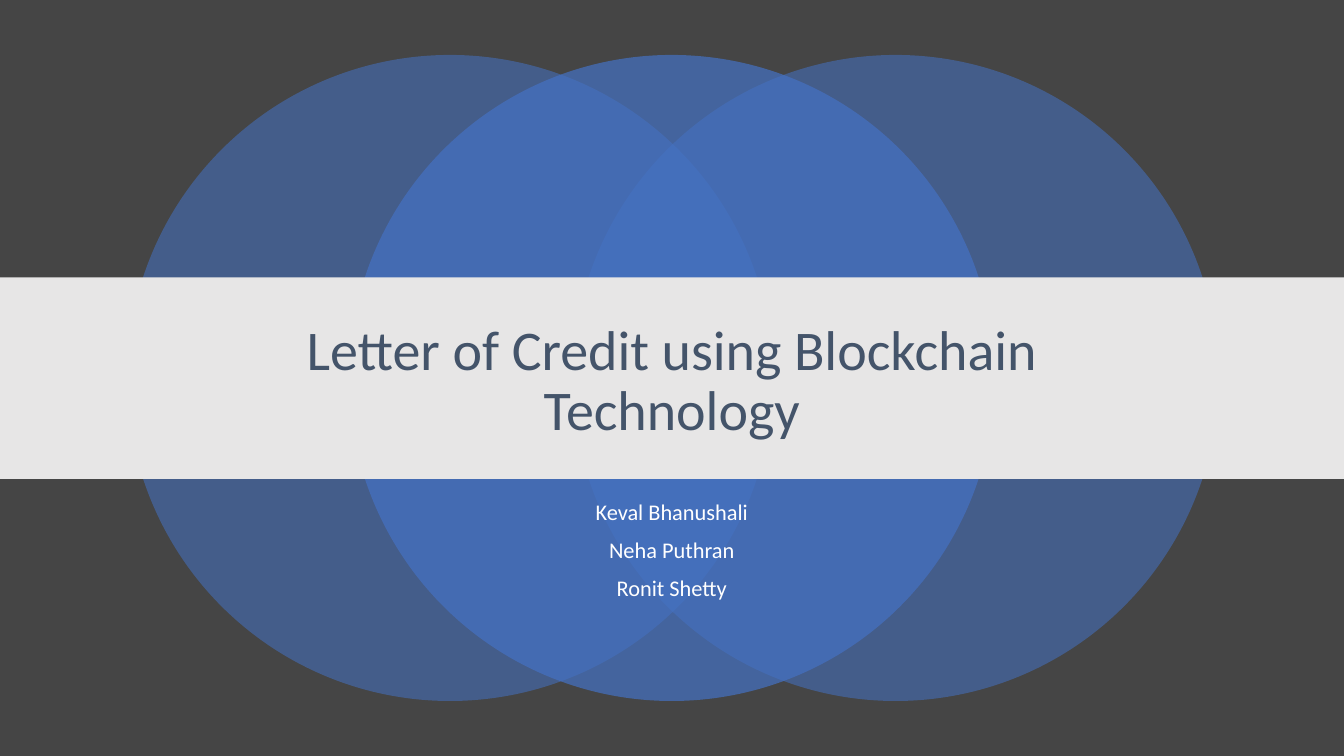
from lxml.etree import SubElement
from pptx import Presentation
from pptx.dml.color import RGBColor
from pptx.enum.shapes import MSO_SHAPE
from pptx.enum.text import MSO_ANCHOR, PP_ALIGN
from pptx.oxml.ns import qn
from pptx.util import Cm, Pt

WIDTH, HEIGHT = 33.87, 19.05
DISC = 16.28
BLUE = "4472C4"


def tint(fill, color):
    """Make a fill solid in a hex colour."""
    fill.solid()
    fill.fore_color.rgb = RGBColor.from_string(color)


def add_block(slide, kind, box, color):
    """Add a borderless filled shape, its box given in centimetres."""
    shape = slide.shapes.add_shape(kind, *map(Cm, box))
    shape.shadow.inherit = False
    shape.line.fill.background()
    tint(shape.fill, color)
    return shape


def add_disc(slide, left, alpha):
    """Add a see-through circle with opacity in percent."""
    box = (left, (HEIGHT - DISC) / 2, DISC, DISC)
    disc = add_block(slide, MSO_SHAPE.OVAL, box, BLUE)
    color = disc.fill._xPr.find(qn("a:solidFill"))[0]
    SubElement(color, qn("a:alpha"), val=str(alpha * 1000))


def add_text(slide, box, lines, size, color, anchor=MSO_ANCHOR.TOP):
    """Add centred paragraphs in one font."""
    frame = slide.shapes.add_textbox(*map(Cm, box)).text_frame
    frame.word_wrap = True
    frame.vertical_anchor = anchor
    frame.text = "\n".join(lines)
    for row, para in enumerate(frame.paragraphs):
        para.alignment = PP_ALIGN.CENTER
        para.line_spacing = 0.9
        para.space_before = Pt(10 if row else 0)
        para.font.name = "Calibri"
        para.font.size = Pt(size)
        tint(para.font.fill, color)


def main():
    """Build the title slide."""
    deck = Presentation()
    deck.slide_width, deck.slide_height = Cm(WIDTH), Cm(HEIGHT)
    slide = deck.slides.add_slide(deck.slide_layouts[6])
    tint(slide.background.fill, "454545")

    for left, alpha in ((3.2, 55), (14.43, 55), (8.79, 70)):
        add_disc(slide, left, alpha)
    add_block(slide, MSO_SHAPE.RECTANGLE, (0, 6.99, WIDTH, 5.08), "E7E6E6")

    title = ["Letter of Credit using Blockchain Technology"]
    add_text(slide, (4.23, 7.72, 25.4, 3.84), title, 40, "44546A", MSO_ANCHOR.MIDDLE)
    names = ["Keval Bhanushali", "Neha Puthran", "Ronit Shetty"]
    add_text(slide, (4.23, 12.5, 25.4, 2.11), names, 16, "FFFFFF")
    deck.save("out.pptx")


if __name__ == "__main__":
    main()
